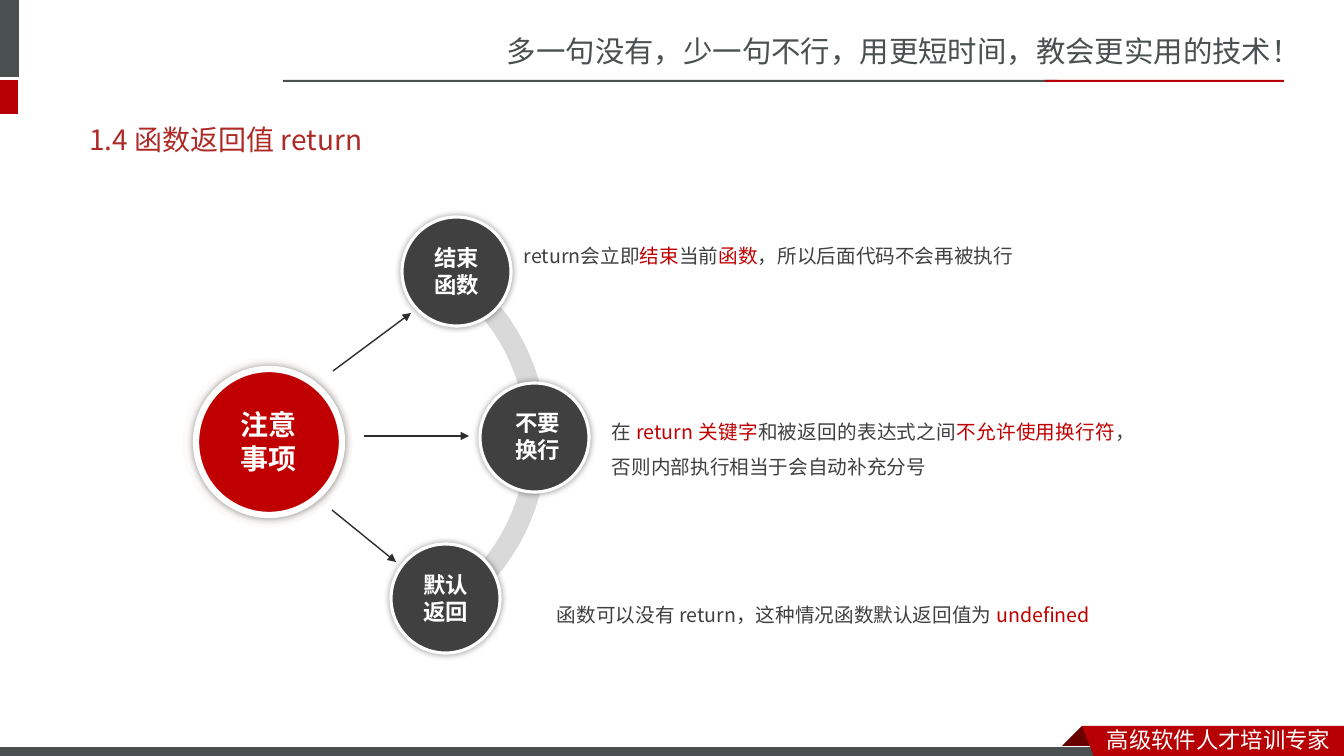
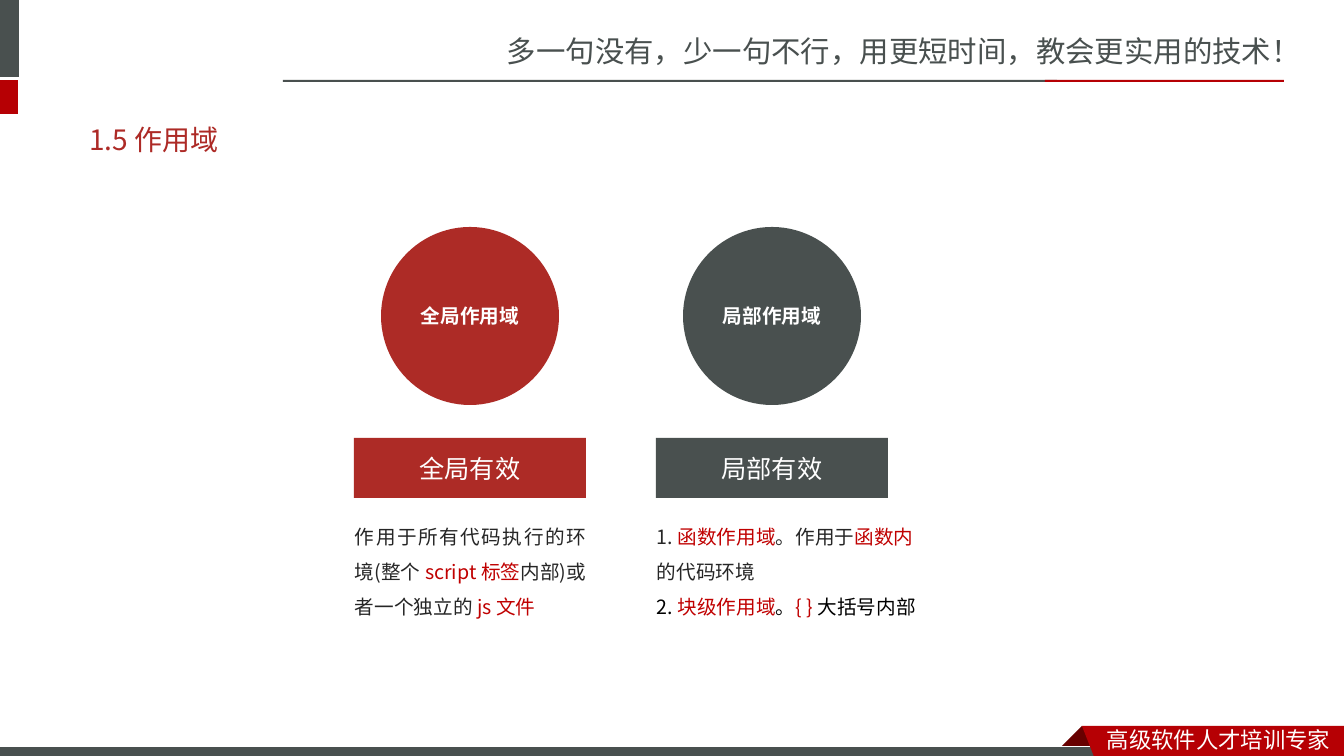
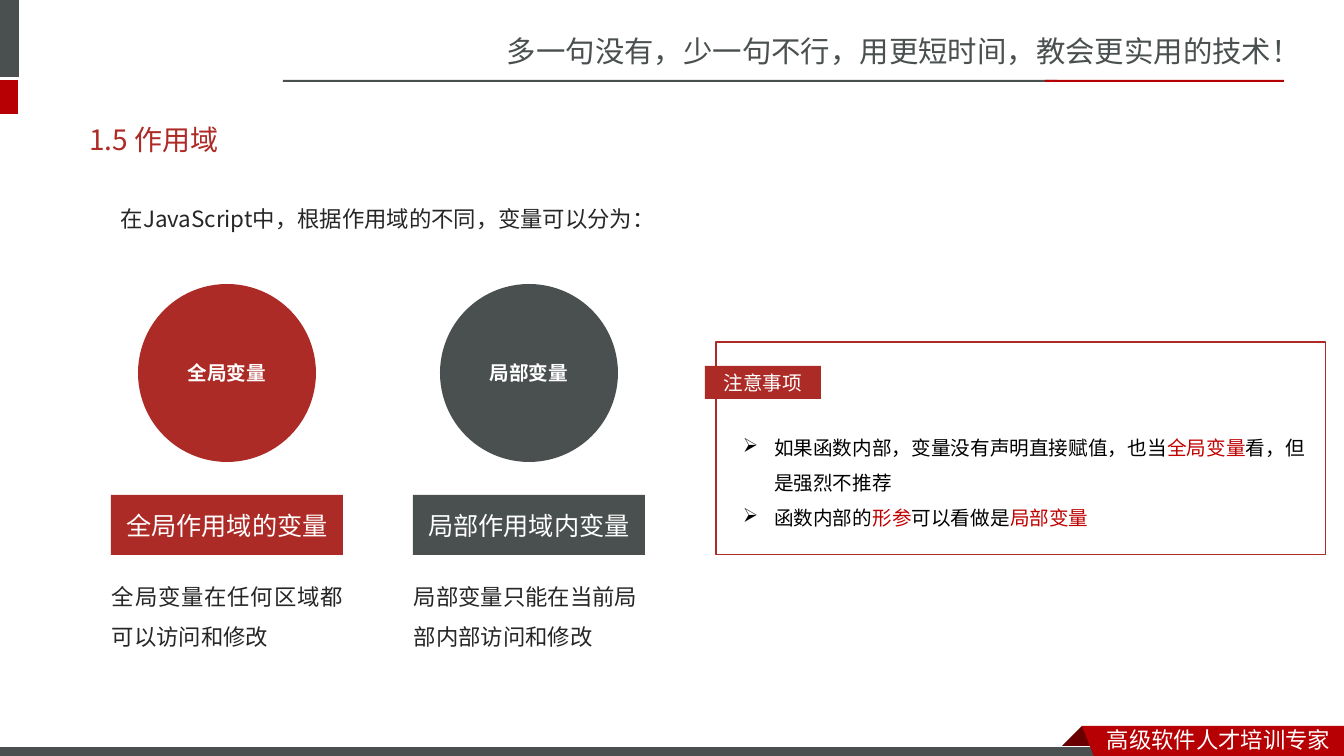
"""Build three slides on function return values and variable scope."""
from lxml import etree
from pptx import Presentation
from pptx import util as u
from pptx.dml.color import RGBColor
from pptx.enum import shapes, text
from pptx.oxml.ns import qn

PX = 12192000 / 1344
RECT, OVAL = shapes.MSO_SHAPE.RECTANGLE, shapes.MSO_SHAPE.OVAL
FREE, BOX = "freeform", "text box"
LEFT, CENTER, JUSTIFY = text.PP_ALIGN.LEFT, text.PP_ALIGN.CENTER, text.PP_ALIGN.JUSTIFY


class Theme:
    slate, band_red, fold = "49504F", "B60004", "680000"
    title, card_red, accent = "AD2A26", "AD2B26", "C00000"
    node, body, ink, black = "404040", "262626", "2E2C2C", "000000"
    arc, halo, white = "D9D9D9", "FCFBF9", "FFFFFF"
    sc, jp, calibri = "Noto Sans CJK SC", "Noto Sans CJK JP", "Calibri"
    slogan_size, heading, tag, large, small = 21, 20, 18, 16, 14


def draw(s, form, at, fill=None, line=None, width=0.75):
    if form == FREE:
        points = [(round(x * 100), round(y * 100)) for x, y in at]
        fb = s.shapes.build_freeform(*points[0], scale=PX / 100)
        fb.add_line_segments(points[1:], close=True)
        sp = fb.convert_to_shape()
    elif form == BOX:
        return s.shapes.add_textbox(*[round(v * PX) for v in at])
    else:
        sp = s.shapes.add_shape(form, *[round(v * PX) for v in at])
    sp.shadow.inherit = False
    if fill:
        sp.fill.solid()
        sp.fill.fore_color.rgb = RGBColor.from_string(fill)
    else:
        sp.fill.background()
    if line:
        sp.line.color.rgb = RGBColor.from_string(line)
        sp.line.width = u.Pt(width)
    else:
        sp.line.fill.background()
    return sp


def write(sp, paragraphs, size, colour, font=Theme.jp, bold=False, align=LEFT, spacing=None, middle=False):
    tf = sp.text_frame
    tf.word_wrap = True
    tf.vertical_anchor = text.MSO_ANCHOR.MIDDLE if middle else text.MSO_ANCHOR.TOP
    for i, marked in enumerate(paragraphs):
        p = tf.add_paragraph() if i else tf.paragraphs[0]
        p.alignment = align
        p.line_spacing = spacing
        for j, part in enumerate(marked.split("|")):
            if not part:
                continue
            r = p.add_run()
            r.text = part
            r.font.size = u.Pt(size)
            r.font.bold = bold
            r.font.color.rgb = RGBColor.from_string(Theme.accent if j % 2 else colour)
            r.font.name = font
            east_asian = Theme.sc if font == Theme.calibri else font
            etree.SubElement(r._r.get_or_add_rPr(), qn("a:ea"), typeface=east_asian)


prs = Presentation()
prs.slide_width, prs.slide_height = round(1344 * PX), round(756 * PX)
layout = prs.slide_layouts[5]

slides = []
for heading in ("1.4 函数返回值 return", "1.5 作用域", "1.5 作用域"):
    s = prs.slides.add_slide(layout)
    title = s.shapes.title
    title.left, title.top, title.width, title.height = [round(v * PX) for v in (79, 111, 1184, 57)]
    write(title, [heading], Theme.heading, Theme.title, middle=True)
    slides.append(s)
returns, scopes, variables = slides

slogan = draw(returns, BOX, (497, 28, 847, 47))
write(slogan, ["多一句没有，少一句不行，用更短时间，教会更实用的技术！"], Theme.slogan_size, Theme.slate, Theme.sc)
for at, fill in (
    ((-6, 0, 25, 77), Theme.slate),
    ((-6, 80, 24, 34), Theme.band_red),
    ((283, 80, 774, 2), Theme.slate),
    ((1045, 80, 239, 2), Theme.band_red),
):
    draw(returns, RECT, at, fill)
draw(returns, FREE, [(1082, 726), (1104, 749), (1059, 749)], Theme.fold)
draw(returns, RECT, (-1, 747, 1109, 12), Theme.slate, Theme.white)
draw(returns, FREE, [(1082, 726), (1344, 726), (1344, 760), (1095, 759)], Theme.band_red)
footer = draw(returns, BOX, (1097, 721, 247, 37))
write(footer, ["高级软件人才培训专家"], Theme.large, Theme.white, Theme.sc)
for sp in list(returns.shapes)[1:]:
    layout.shapes.element.append(sp.element)

for at, marked in (
    ((514, 227, 534, 45), "return会立即|结束|当前|函数|，所以后面代码不会再被执行"),
    ((547, 586, 663, 45), "函数可以没有 return，这种情况函数默认返回值为 |undefined"),
    ((602, 403, 543, 82), "在 |return 关键字|和被返回的表达式之间|不允许使用换行符|，否则内部执行相当于会自动补充分号"),
):
    write(draw(returns, BOX, at), [marked], Theme.small, Theme.node, align=JUSTIFY, spacing=1.5)

draw(returns, OVAL, (182, 357, 171, 171), Theme.halo, Theme.white)
arc = []
for curve in (
    ((431, 273), (488, 307), (526, 369), (526, 439)),
    ((526, 439), (526, 509), (490, 569), (434, 603)),
    ((445, 621), (506, 584), (547, 516), (547, 439)),
    ((547, 439), (547, 361), (505, 292), (441, 256)),
):
    for step in range(17):
        t = step / 16
        weights = ((1 - t) ** 3, 3 * t * (1 - t) ** 2, 3 * t * t * (1 - t), t ** 3)
        arc.append([sum(w * c for w, c in zip(weights, axis)) for axis in zip(*curve)])
draw(returns, FREE, arc, Theme.arc)

for ends in ((333, 371, 411, 313), (364, 436, 469, 436), (332, 510, 396, 562)):
    arrow = returns.shapes.add_connector(shapes.MSO_CONNECTOR.STRAIGHT, *[round(v * PX) for v in ends])
    arrow.line.color.rgb = RGBColor.from_string(Theme.ink)
    arrow.line.width = u.Pt(1)
    props = arrow.element.spPr
    etree.SubElement(props.find(qn("a:ln")), qn("a:tailEnd"), type="triangle")
    etree.SubElement(props, qn("a:effectLst"))

for label, circle, fill, border, label_box, size in (
    ("注意事项", (196, 369, 146, 146), Theme.accent, 4.5, (222, 403, 94, 78), Theme.heading),
    ("结束函数", (402, 217, 109, 109), Theme.node, 2.25, (417, 239, 79, 65), Theme.large),
    ("不要换行", (480, 383, 109, 109), Theme.node, 2.25, (496, 404, 84, 65), Theme.large),
    ("默认返回", (391, 544, 109, 109), Theme.node, 2.25, (406, 566, 79, 65), Theme.large),
):
    sp = draw(returns, OVAL, circle, fill, Theme.white, border)
    effects = sp.element.spPr.find(qn("a:effectLst"))
    shadow = etree.SubElement(effects, qn("a:outerShdw"), blurRad=str(u.Pt(5)), algn="ctr", rotWithShape="0")
    tint = etree.SubElement(shadow, qn("a:srgbClr"), val=Theme.black)
    etree.SubElement(tint, qn("a:alpha"), val="40000")
    write(draw(returns, BOX, label_box), [label], size, Theme.white, bold=True, align=CENTER)

intro = draw(variables, BOX, (111, 187, 972, 448))
write(intro, ["在JavaScript中，根据作用域的不同，变量可以分为："], Theme.large, Theme.body, spacing=1.5)

for s, left, top, size, font, cards in (
    (scopes, 354, 227, Theme.small, Theme.jp, (
        ("全局作用域", "全局有效", 251, ["作用于所有代码执行的环境(整个 |script 标签|内部)或者一个独立的 |js 文件"]),
        ("局部作用域", "局部有效", 280, ["1. |函数作用域|。作用于|函数内|的代码环境", "2. |块级作用域|。|{ } |大括号内部"]),
    )),
    (variables, 111, 284, Theme.large, Theme.calibri, (
        ("全局变量", "全局作用域的变量", 251, ["全局变量在任何区域都可以访问和修改"]),
        ("局部变量", "局部作用域内变量", 251, ["局部变量只能在当前局部内部访问和修改"]),
    )),
):
    for i, (name, tag, width, paragraphs) in enumerate(cards):
        x = left + 302 * i
        fill = (Theme.card_red, Theme.slate)[i]
        circle = draw(s, OVAL, (x + 27, top, 178, 178), fill)
        write(circle, [name], Theme.small, Theme.white, Theme.calibri, True, CENTER, middle=True)
        plate = draw(s, RECT, (x, top + 211, 232, 60), fill)
        write(plate, [tag], Theme.tag, Theme.white, Theme.calibri, align=CENTER, middle=True)
        detail = draw(s, BOX, (x - 9, top + 281, width, 117))
        write(detail, paragraphs, size, Theme.body, font, align=(JUSTIFY, LEFT)[i], spacing=1.5)
        for p in detail.text_frame.paragraphs[1:]:
            for r in p.runs[::2]:
                r.font.color.rgb = RGBColor.from_string(Theme.black)

notes = draw(variables, BOX, (733, 419, 586, 117))
write(notes, [
    "如果函数内部，变量没有声明直接赋值，也当|全局变量|看，但是强烈不推荐",
    "函数内部的|形参|可以看做是|局部变量",
], Theme.small, Theme.black, Theme.calibri, spacing=1.5)
for p in notes.text_frame.paragraphs:
    props = p._p.get_or_add_pPr()
    props.set("marL", str(u.Inches(0.31)))
    props.set("indent", str(-u.Inches(0.31)))
    etree.SubElement(props, qn("a:buChar"), char="➢")
draw(variables, RECT, (716, 342, 610, 213), line=Theme.card_red)
caption = draw(variables, RECT, (705, 366, 116, 33), Theme.card_red)
write(caption, ["注意事项"], Theme.small, Theme.white, Theme.calibri, align=CENTER, middle=True)

prs.save("out.pptx")
